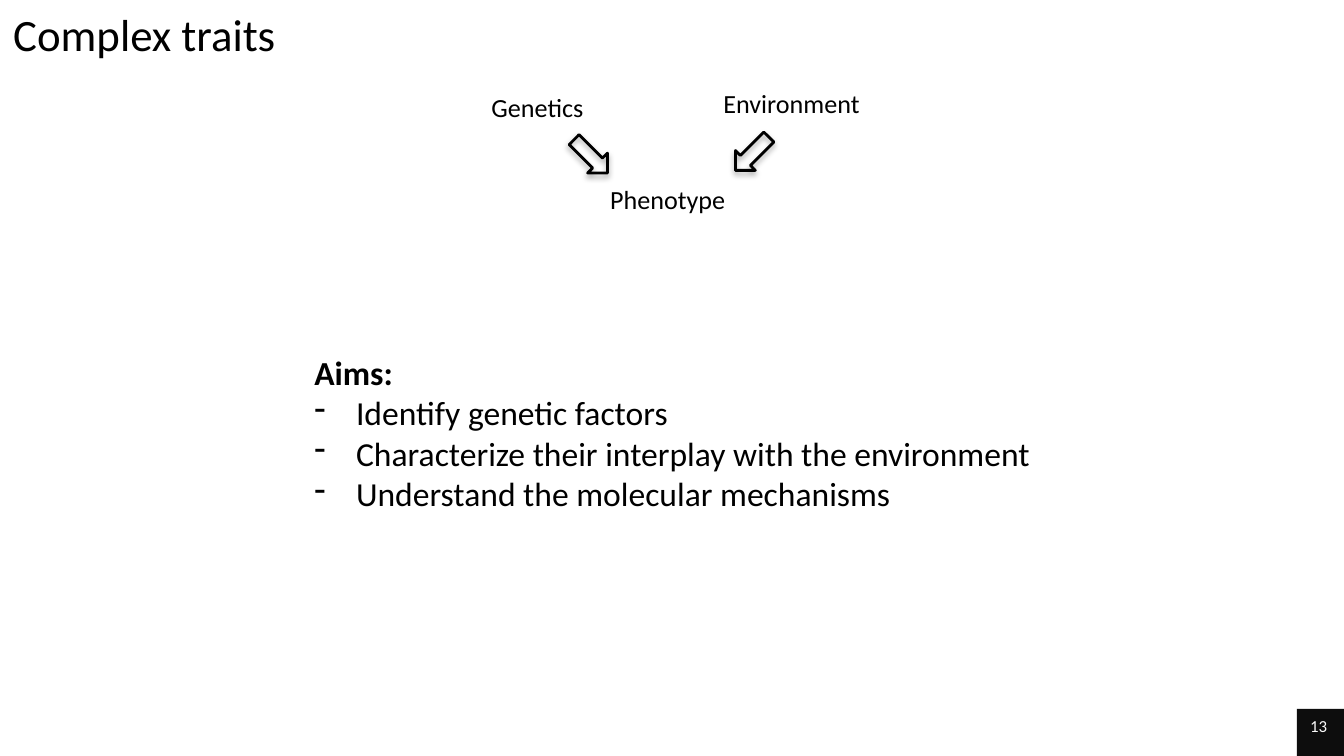
from lxml import etree
from pptx import Presentation
from pptx import util as u
from pptx.dml import color
from pptx.enum import shapes, text
from pptx.oxml import ns

COLOURS = {"ink": "000000", "badge": "0D0D0D", "badge_text": "FAFAFA"}
AIMS = [
    "Identify genetic factors",
    "Characterize their interplay with the environment",
    "Understand the molecular mechanisms",
]


def rgb(name):
    """Return the named colour."""
    return color.RGBColor.from_string(COLOURS[name])


def lengths(box):
    """Convert a box of centimetres to slide lengths."""
    return [u.Cm(value) for value in box]


def style(paragraph, size, colour="ink", bold=False):
    """Set the font of a whole paragraph."""
    font = paragraph.font
    font.name, font.size, font.bold = "Calibri", u.Pt(size), bold
    font.color.rgb = rgb(colour)


def add_text(slide, box, lines, size, wrap=False):
    """Add a text box with one paragraph per line and return its paragraphs."""
    frame = slide.shapes.add_textbox(*lengths(box)).text_frame
    frame.word_wrap = wrap
    frame.auto_size = text.MSO_AUTO_SIZE.NONE if wrap else text.MSO_AUTO_SIZE.SHAPE_TO_FIT_TEXT
    frame.text = "\n".join(lines)
    for paragraph in frame.paragraphs:
        style(paragraph, size)
    return frame.paragraphs


def add_bullet(paragraph):
    """Give a paragraph a hanging dash."""
    properties = paragraph._p.get_or_add_pPr()
    indent = u.Cm(0.79)
    properties.set("marL", str(indent))
    properties.set("indent", str(-indent))
    dash = etree.Element(ns.qn("a:buChar"), char="-")
    properties.insert_element_before(dash, "a:tabLst", "a:defRPr", "a:extLst")


def add_shadow(shape):
    """Add a soft black shadow that falls straight down."""
    shape.shadow.inherit = False
    effects = shape._element.spPr.find(ns.qn("a:effectLst"))
    shadow = etree.SubElement(
        effects, ns.qn("a:outerShdw"), blurRad=str(u.Pt(3.1)),
        dist=str(u.Pt(1.8)), dir="5400000", rotWithShape="0")
    tint = etree.SubElement(shadow, ns.qn("a:srgbClr"), val=COLOURS["ink"])
    etree.SubElement(tint, ns.qn("a:alpha"), val="35000")


def add_arrow(slide, box, rotation):
    """Add an outlined block arrow turned by rotation."""
    arrow = slide.shapes.add_shape(shapes.MSO_SHAPE.RIGHT_ARROW, *lengths(box))
    arrow.rotation = rotation
    arrow.fill.background()
    arrow.line.color.rgb = rgb("ink")
    arrow.line.width = u.Pt(1.5)
    add_shadow(arrow)


def add_diagram(slide, left, top):
    """Show genetics and environment leading to the phenotype."""
    labels = [
        ("Phenotype", 2.31, 1.83, 2.72, text.PP_ALIGN.LEFT),
        ("Environment", 4.45, 0, 3.12, text.PP_ALIGN.LEFT),
        ("Genetics", 0, 0.08, 2.31, text.PP_ALIGN.RIGHT),
    ]
    for label, x, y, width, alignment in labels:
        box = (left + x, top + y, width, 0.86)
        add_text(slide, box, [label], 14)[0].alignment = alignment
    for x, y, rotation in [(4.8, 1.12, 135), (1.75, 1.17, 45)]:
        add_arrow(slide, (left + x, top + y, 0.89, 0.53), rotation)


def add_aims(slide, box):
    """List the aims under a bold heading."""
    heading, *aims = add_text(slide, box, ["Aims:", *AIMS], 18)
    heading.font.bold = True
    for aim in aims:
        add_bullet(aim)


def add_page_number(slide, box, number):
    """Place the page number on a dark square."""
    badge = slide.shapes.add_shape(shapes.MSO_SHAPE.RECTANGLE, *lengths(box))
    badge.shadow.inherit = False
    badge.fill.solid()
    badge.fill.fore_color.rgb = rgb("badge")
    badge.line.fill.background()
    frame = badge.text_frame
    frame.vertical_anchor = text.MSO_ANCHOR.TOP
    frame.word_wrap = False
    frame.text = str(number)
    frame.paragraphs[0].alignment = text.PP_ALIGN.LEFT
    style(frame.paragraphs[0], 9, "badge_text")


def main():
    """Build and save the slide."""
    presentation = Presentation()
    presentation.slide_width, presentation.slide_height = lengths((25.4, 14.29))
    slide = presentation.slides.add_slide(presentation.slide_layouts[6])
    add_text(slide, (0, 0, 22.86, 2.39), ["Complex traits"], 24, wrap=True)
    add_diagram(slide, 8.97, 1.52)
    add_aims(slide, (5.69, 6.53, 14.2, 3.33))
    add_page_number(slide, (24.51, 13.4, 0.89, 0.89), 13)
    presentation.save("out.pptx")


if __name__ == "__main__":
    main()
